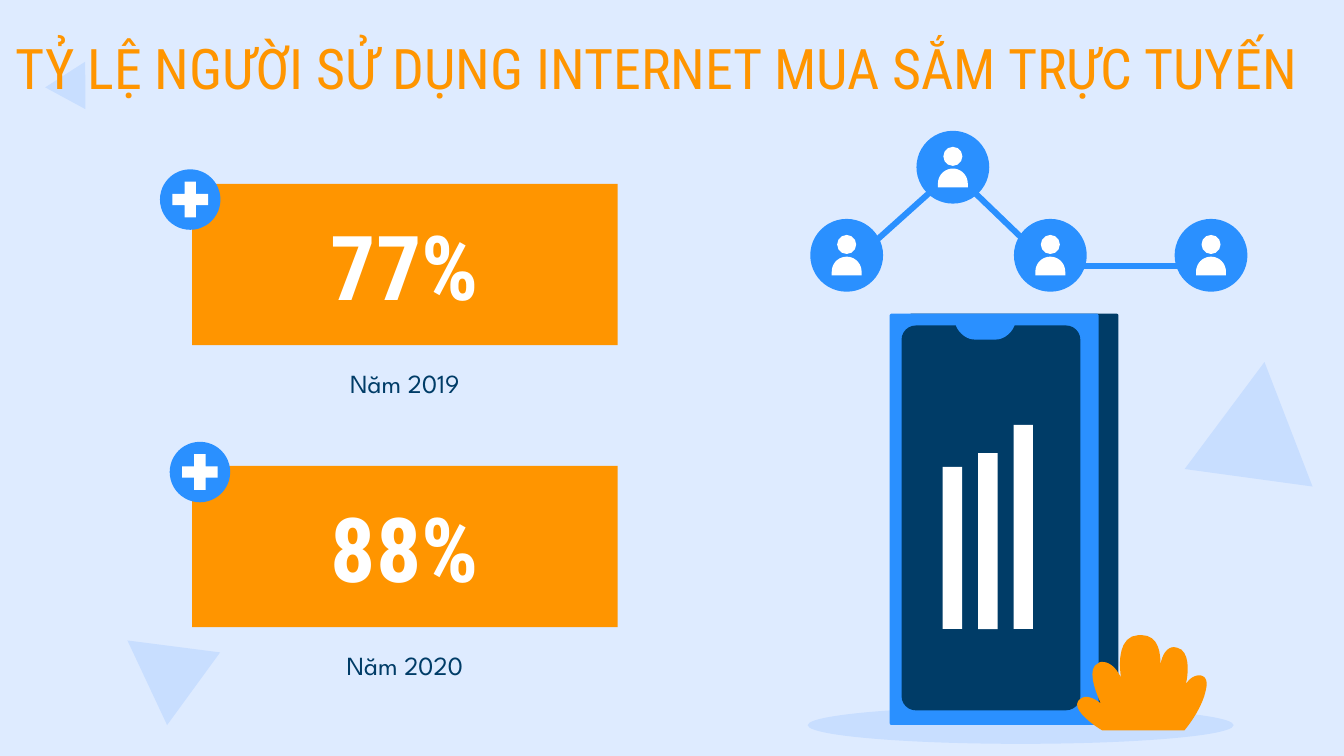
"""Build a slide on the share of internet users who shop online."""
from itertools import pairwise

from lxml.etree import SubElement
from pptx import Presentation
from pptx.dml.color import RGBColor
from pptx.enum.shapes import MSO_CONNECTOR, MSO_SHAPE
from pptx.enum.text import MSO_ANCHOR, MSO_AUTO_SIZE, PP_ALIGN
from pptx.oxml.ns import qn
from pptx.util import Pt

PALE, TINT, BLUE, NAVY = "DEEBFF", "C8DEFF", "2A90FF", "003C67"
ORANGE, WHITE = "FF9500", "FFFFFF"
HEADING_FONT, LABEL_FONT = "Roboto Condensed", "League Spartan"

HEADLINE = "TỶ LỆ NGƯỜI SỬ DỤNG INTERNET MUA SẮM TRỰC TUYẾN"
SHARES = [
    ("77%", "Năm 2019", 98.6, (85.7, 90.7)),
    ("88%", "Năm 2020", 249.6, (90.9, 236.7)),
]
TRIANGLES = [
    (61.9, 334.1, 48.2, 43.9, 306.1),
    (28.1, 31.7, 24.5, 22.3, 28.5),
    (638.6, 193.7, 69.1, 62.6, 7.8),
]
PEOPLE = [(453.6, 136.8), (510.5, 89.6), (562.7, 136.8), (648.8, 136.8)]
LINKS = [(462, 135.5), (510.5, 92), (563, 142.5), (639.5, 142.5)]
BAR_HEIGHTS = [86.8, 94.3, 109.3]

SHOULDERS = [
    [(0, 10)], [(0, 8)],
    [(0, 3.6), (3.6, 0), (8, 0)],
    [(12.4, 0), (16, 3.6), (16, 8)],
    [(16, 10)],
]
NOTCH = [
    [(0, 0)],
    [(1.4, 4.3), (5.8, 7.9), (10.1, 7.9)],
    [(21.6, 7.9)],
    [(25.9, 7.9), (30.2, 4.3), (31.7, 0)],
]
HAND = [
    [(37.4, 0)],
    [(36.7, 0), (36.7, 0), (36, 0)],
    [(22.3, 0.7), (26.6, 23), (26.6, 23)],
    [(26.6, 23), (23, 14.4), (16.6, 14.4)],
    [(15.8, 14.4), (15.1, 14.4), (14.4, 15.1)],
    [(6.5, 18), (15.8, 36.7), (15.8, 36.7)],
    [(15.8, 36.7), (11.5, 33.1), (7.9, 33.1)],
    [(6.5, 33.1), (5, 33.8), (3.6, 35.3)],
    [(0, 40.3), (13.7, 49.7), (16.6, 51.1)],
    [(60.5, 51.1)],
    [(60.5, 51.1), (69.8, 40.3), (72, 29.5)],
    [(73.4, 23.8), (71.3, 21.6), (68.4, 21.6)],
    [(65.5, 21.6), (62.6, 23.8), (61.2, 26.6)],
    [(61.2, 26.6), (64.8, 13), (59, 7.9)],
    [(57.6, 7.2), (56.2, 6.5), (54.7, 6.5)],
    [(51.1, 6.5), (48.2, 10.8), (47.5, 17.3)],
    [(47.5, 17.3), (49.7, 0), (37.4, 0)],
]


def color(hex_code):
    return RGBColor.from_string(hex_code)


def paint(shape, fill):
    shape.shadow.inherit = False
    shape.fill.solid()
    shape.fill.fore_color.rgb = color(fill)
    shape.line.fill.background()
    return shape


def draw(kind, left, top, width, height, fill, rotation=0, adjust=None):
    shape = page.shapes.add_shape(kind, Pt(left), Pt(top), Pt(width), Pt(height))
    shape.rotation = rotation
    if adjust is not None:
        shape.adjustments[0] = adjust
    return paint(shape, fill)


def disc(center_x, center_y, size, fill):
    return draw(MSO_SHAPE.OVAL, center_x - size / 2, center_y - size / 2, size, size, fill)


def bezier(start, first, second, end, steps=10):
    for step in range(1, steps + 1):
        t = step / steps
        weights = ((1 - t) ** 3, 3 * t * (1 - t) ** 2, 3 * t * t * (1 - t), t ** 3)
        yield tuple(
            sum(weight * value for weight, value in zip(weights, values))
            for values in zip(start, first, second, end)
        )


def outline(segments, left, top, fill):
    points = []
    for segment in segments:
        points += bezier(points[-1], *segment) if len(segment) == 3 else segment
    start, *rest = [(Pt(left + x), Pt(top + y)) for x, y in points]
    builder = page.shapes.build_freeform(*start)
    builder.add_line_segments(rest)
    return paint(builder.convert_to_shape(), fill)


def write(shape, text, font, size, fill, anchor=MSO_ANCHOR.TOP, inset=7.2, bold=False):
    frame = shape.text_frame
    frame.text = text
    frame.word_wrap = True
    frame.auto_size = MSO_AUTO_SIZE.NONE
    frame.vertical_anchor = anchor
    frame.margin_left = frame.margin_right = Pt(7.2)
    frame.margin_top = frame.margin_bottom = Pt(inset)
    para = frame.paragraphs[0]
    para.alignment = PP_ALIGN.CENTER
    para.font.name, para.font.size, para.font.bold = font, Pt(size), bold
    para.font.color.rgb = color(fill)


def draw_share(percent, year, top, badge):
    left, width, height = 102.9, 228, 86.4
    box = draw(MSO_SHAPE.RECTANGLE, left, top, width, height, ORANGE)
    write(box, percent, HEADING_FONT, 48, WHITE, MSO_ANCHOR.MIDDLE, bold=True)
    label = page.shapes.add_textbox(Pt(left), Pt(top + 91.2), Pt(width), Pt(32.4))
    write(label, year, LABEL_FONT, 14, NAVY)
    badge_left, badge_top = badge
    draw(MSO_SHAPE.OVAL, badge_left, badge_top, 32.4, 32.4, BLUE)
    draw(MSO_SHAPE.MATH_MULTIPLY, badge_left + 3.2, badge_top + 3.2, 26, 26, WHITE, 45, 0.235)


def draw_phone():
    draw(MSO_SHAPE.OVAL, 432.7, 378.5, 228.2, 20, TINT)
    for left, fill in ((487.2, NAVY), (476.6, BLUE)):
        draw(MSO_SHAPE.ROUNDED_RECTANGLE, left, 168, 112, 220.4, fill, adjust=0.01)
    draw(MSO_SHAPE.ROUNDED_RECTANGLE, 483, 174.4, 95.8, 206.2, NAVY, adjust=0.08)
    outline(NOTCH, 512, 174, BLUE)
    for index, height in enumerate(BAR_HEIGHTS):
        draw(MSO_SHAPE.RECTANGLE, 505 + 19 * index, 337 - height, 10.4, height, WHITE)
    outline(HAND, 574, 340.2, ORANGE)


def draw_network():
    for (x1, y1), (x2, y2) in pairwise(LINKS):
        link = page.shapes.add_connector(
            MSO_CONNECTOR.STRAIGHT, Pt(x1), Pt(y1), Pt(x2), Pt(y2))
        link.line.color.rgb = color(BLUE)
        link.line.width = Pt(3.2)
        SubElement(link.element.spPr, qn("a:effectLst"))
    for x, y in PEOPLE:
        disc(x, y, 39, BLUE)
        disc(x, y - 5.8, 10.2, WHITE)
        outline(SHOULDERS, x - 8, y + 0.7, WHITE)


deck = Presentation()
deck.slide_width, deck.slide_height = Pt(720), Pt(405)
page = deck.slides.add_slide(deck.slide_layouts.get_by_name("Title Only"))
page.background.fill.solid()
page.background.fill.fore_color.rgb = color(PALE)

for left, top, width, height, rotation in TRIANGLES:
    draw(MSO_SHAPE.ISOSCELES_TRIANGLE, left, top, width, height, TINT, rotation)
draw_phone()
draw_network()
for share in SHARES:
    draw_share(*share)

headline = page.shapes.title
headline.left, headline.top = Pt(-16), Pt(14.4)
headline.width, headline.height = Pt(736), Pt(44)
write(headline, HEADLINE, HEADING_FONT, 30, ORANGE, inset=3.6)
page.shapes.element.append(headline.element)

deck.save("out.pptx")
